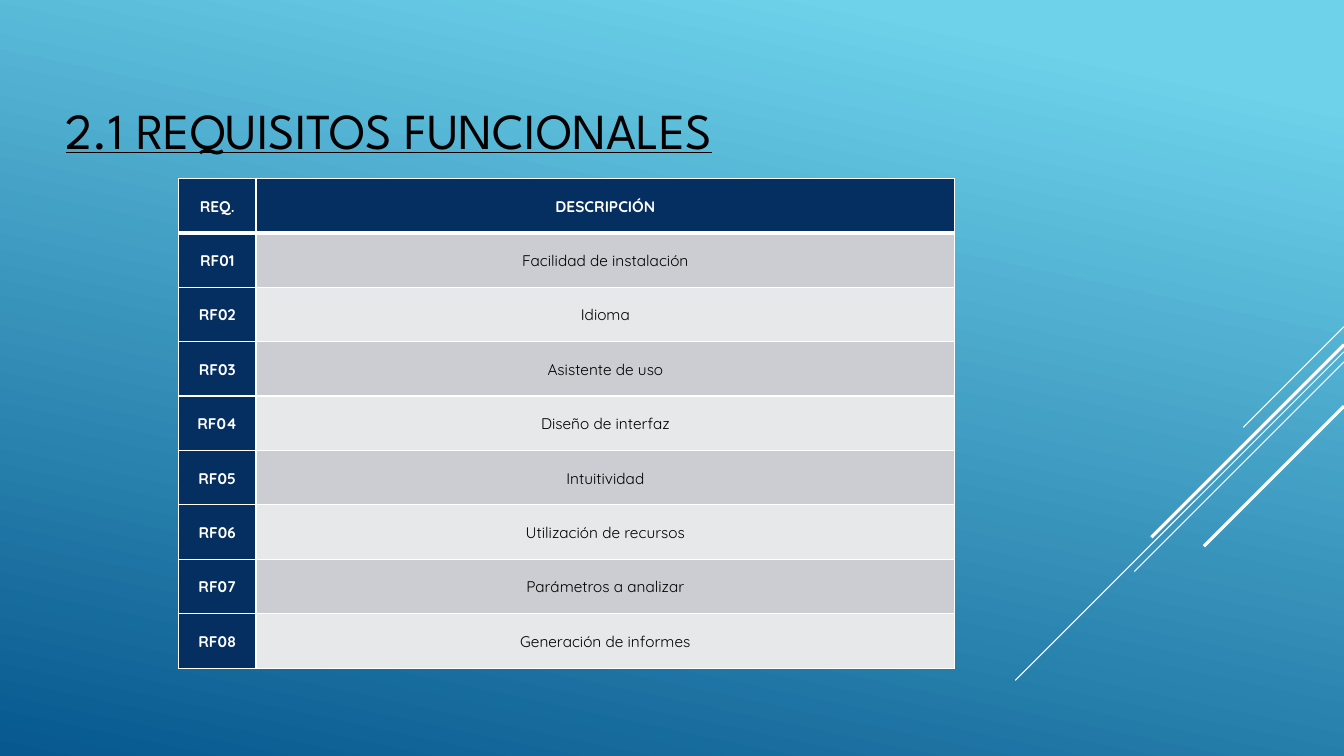
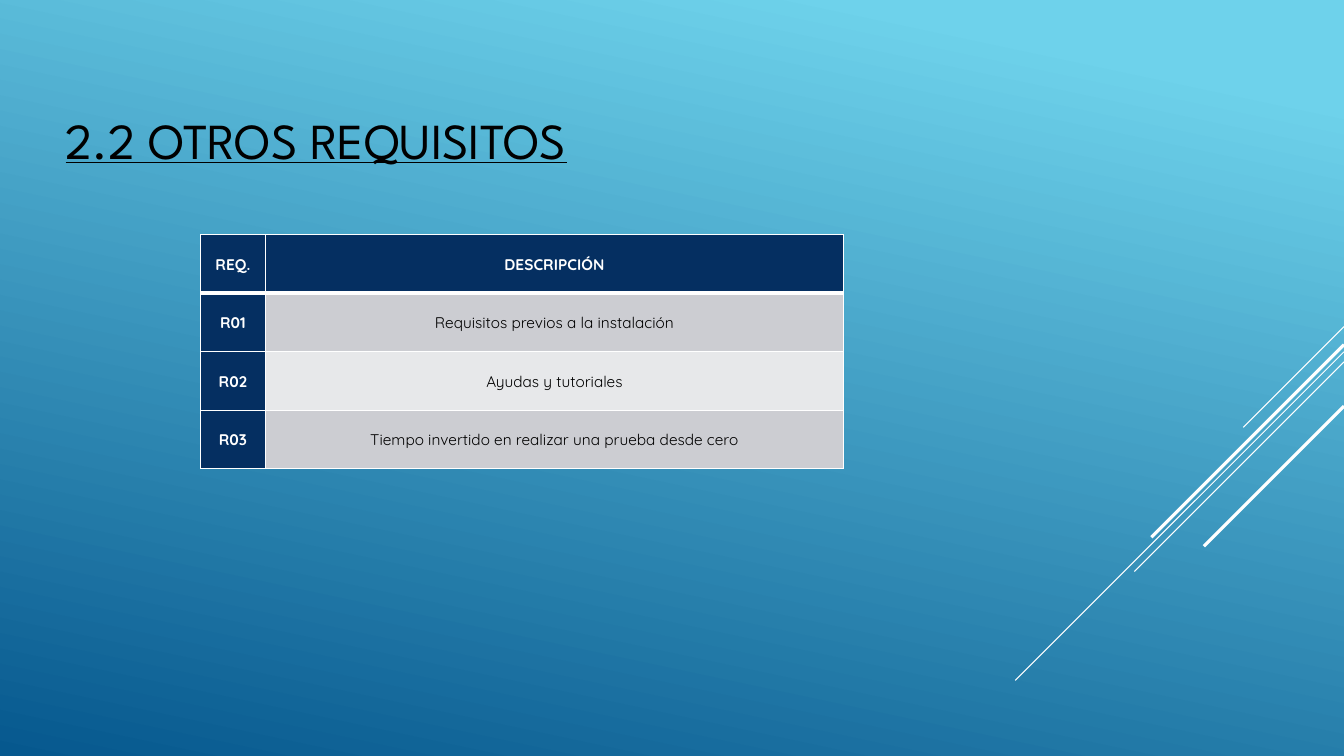
from lxml import etree
from pptx import Presentation
from pptx import util as u
from pptx.dml.color import RGBColor
from pptx.enum import shapes, text
from pptx.oxml import ns

SKY = RGBColor(0x6E, 0xD2, 0xEB)
DEEP = RGBColor(0x06, 0x58, 0x8E)
NAVY = RGBColor(0x05, 0x2F, 0x61)
WHITE = RGBColor(0xFF, 0xFF, 0xFF)
BLACK = RGBColor(0x00, 0x00, 0x00)
GREY = RGBColor(0xCC, 0xCD, 0xD2)
PALE = RGBColor(0xE7, 0xE8, 0xEA)
TITLE_FONT = "League Spartan"
TABLE_FONT = "Quicksand"

HEADER = ("REQ.", "DESCRIPCIÓN")
PAGES = [
    {
        "title": "2.1 REQUISITOS FUNCIONALES",
        "title_top": 0.46,
        "table_at": (1.77, 1.77),
        "columns": (0.77, 6.93),
        "row_height": 0.54,
        "prefix": "RF",
        "items": [
            "Facilidad de instalación",
            "Idioma",
            "Asistente de uso",
            "Diseño de interfaz",
            "Intuitividad",
            "Utilización de recursos",
            "Parámetros a analizar",
            "Generación de informes",
        ],
    },
    {
        "title": "2.2 OTROS REQUISITOS",
        "title_top": 0.56,
        "table_at": (1.99, 2.33),
        "columns": (0.64, 5.74),
        "row_height": 0.58,
        "prefix": "R",
        "items": [
            "Requisitos previos a la instalación",
            "Ayudas y tutoriales",
            "Tiempo invertido en realizar una prueba desde cero",
        ],
    },
]
DIAGONALS = [
    (3.24, 1.0, 0.75),
    (3.49, 3.26, 0.75),
    (3.59, 2.08, 0.75),
    (3.42, 1.91, 2.25),
    (4.03, 1.39, 2.25),
]


def add_span(para, words, font, size, color):
    span = para.add_run()
    span.text = words
    span.font.name = font
    span.font.size = u.Pt(size)
    span.font.color.rgb = color
    return span


def set_borders(cell, top, bottom):
    props = cell._tc.get_or_add_tcPr()
    widths = {"a:lnL": 1, "a:lnR": 1, "a:lnT": top, "a:lnB": bottom}
    for index, (side, width) in enumerate(widths.items()):
        border = etree.Element(ns.qn(side), w=str(u.Pt(width)))
        fill = etree.SubElement(border, ns.qn("a:solidFill"))
        etree.SubElement(fill, ns.qn("a:srgbClr"), val=str(WHITE))
        props.insert(index, border)


deck = Presentation()
deck.slide_width = u.Inches(13.33)
deck.slide_height = u.Inches(7.5)
layout = deck.slide_layouts.get_by_name("Title Only")

backdrop = deck.slide_master.background.fill
backdrop.gradient()
backdrop.gradient_angle = 360 - 102
for stop, position, color in zip(backdrop.gradient_stops, (0.1, 1), (SKY, DEEP)):
    stop.position = position
    stop.color.rgb = color

for number, content in enumerate(PAGES):
    page = deck.slides.add_slide(layout)

    if number == 0:
        for index, (top, run, weight) in enumerate(DIAGONALS):
            line = page.shapes.add_connector(
                shapes.MSO_CONNECTOR.STRAIGHT,
                deck.slide_width, u.Inches(top),
                deck.slide_width - u.Inches(run), u.Inches(top + run),
            )
            line.line.color.rgb = WHITE
            line.line.width = u.Pt(weight)
            etree.SubElement(line._element.spPr, ns.qn("a:effectLst"))
            line._element.nvCxnSpPr.cNvPr.set("id", str(101 + index))
            layout.shapes._spTree.append(line._element)

    title = page.shapes.title
    title.left, title.top = u.Inches(0.55), u.Inches(content["title_top"])
    title.width, title.height = u.Inches(10.87), u.Inches(1.65)
    title.text_frame.vertical_anchor = text.MSO_ANCHOR.MIDDLE
    para = title.text_frame.paragraphs[0]
    para.alignment = text.PP_ALIGN.LEFT
    span = add_span(para, content["title"], TITLE_FONT, 36, BLACK)
    span.font.underline = True

    rows = [HEADER]
    for index, item in enumerate(content["items"], 1):
        rows.append((f"{content['prefix']}{index:02d}", item))
    left, top = content["table_at"]
    table = page.shapes.add_table(
        len(rows), len(HEADER), u.Inches(left), u.Inches(top),
        u.Inches(sum(content["columns"])),
        u.Inches(content["row_height"] * len(rows)),
    ).table
    for column, width in zip(table.columns, content["columns"]):
        column.width = u.Inches(width)

    for r, row in enumerate(rows):
        table.rows[r].height = u.Inches(content["row_height"])
        for c, words in enumerate(row):
            heading = r == 0 or c == 0
            cell = table.cell(r, c)
            cell.fill.solid()
            cell.fill.fore_color.rgb = NAVY if heading else (PALE, GREY)[r % 2]
            cell.vertical_anchor = text.MSO_ANCHOR.MIDDLE
            cell.margin_left = cell.margin_right = u.Inches(0.07)
            cell.margin_top = cell.margin_bottom = 0
            set_borders(cell, 3 if r == 1 else 1, 3 if r == 0 else 1)
            para = cell.text_frame.paragraphs[0]
            para.alignment = text.PP_ALIGN.CENTER
            para.line_spacing = 1.07
            span = add_span(para, words, TABLE_FONT, 11, WHITE if heading else BLACK)
            span.font.bold = heading

deck.save("out.pptx")
